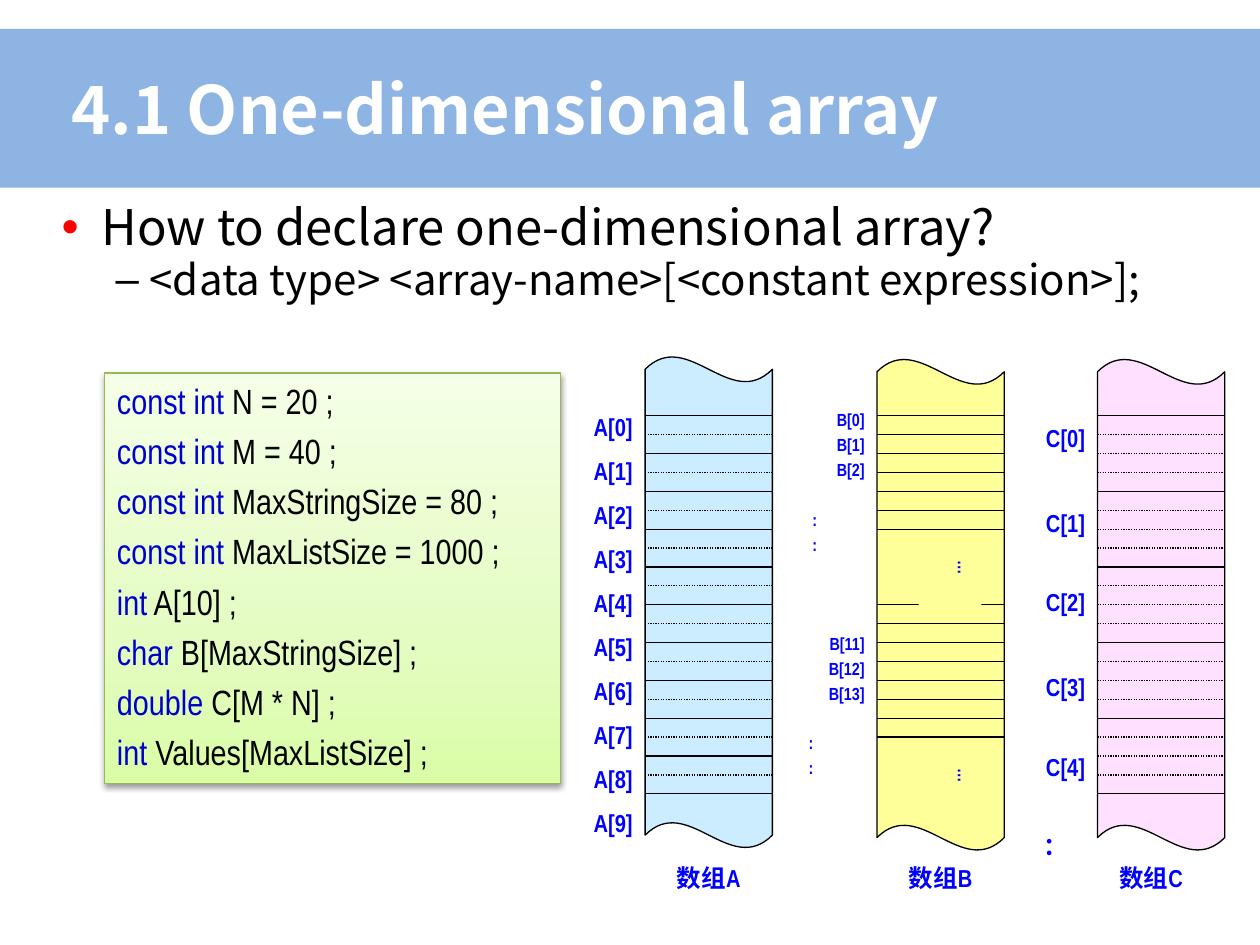
from copy import deepcopy
from pptx import Presentation
from pptx.dml.color import RGBColor as RGB
from pptx.enum.dml import MSO_LINE as Dash
from pptx.enum.shapes import MSO_CONNECTOR as Conn, MSO_SHAPE as Kind
from pptx.enum.text import MSO_ANCHOR as Anchor, PP_ALIGN as Align
from pptx.oxml import parse_xml
from pptx.oxml.ns import nsdecls, qn
from pptx.oxml.xmlchemy import OxmlElement as Node
from pptx.util import Inches, Pt

COLORS = {
    "band": "8EB4E3", "white": "FFFFFF", "black": "000000", "bullet": "FF0000",
    "key": "0000CC", "label": "0000FF", "edge": "98B955",
    "A": "CCECFF", "B": "FFFF99", "C": "FFE1FF",
}
HEX = {name: RGB.from_string(code) for name, code in COLORS.items()}
NARROW, SANS = "Arial Narrow", "Noto Sans CJK SC"

prs = Presentation()
prs.slide_width, prs.slide_height = Inches(10), Inches(7.5)
slide = prs.slides.add_slide(prs.slide_layouts[6])
shapes = slide.shapes


def add_box(left, top, width, height):
    frame = shapes.add_textbox(*map(Inches, (left, top, width, height))).text_frame
    frame.word_wrap = True
    return frame


def add_line(frame, runs, size, font=NARROW, bold=True, align=Align.LEFT,
             space=1.0, before=None, indent=0.0, hang=0.0):
    """Add a paragraph of (text, colour) runs, reusing the first empty one."""
    par = frame.paragraphs[0]
    if par.runs:
        par = frame.add_paragraph()
    par.alignment, par.line_spacing = align, space
    par.space_before = Pt(round(size * 0.235, 1) if before is None else before)
    props = par._p.get_or_add_pPr()
    props.set("marL", str(Inches(indent)))
    props.set("indent", str(-Inches(hang)))
    for text, color in runs:
        run = par.add_run()
        run.text = text
        run.font.size, run.font.name, run.font.bold = Pt(size), font, bold
        run.font.color.rgb = HEX[color]
    return props


# Title band
band = shapes.add_shape(Kind.RECTANGLE, 0, Inches(0.23), Inches(10), Inches(1.26))
band.shadow.inherit = False
band.fill.solid()
band.fill.fore_color.rgb = HEX["band"]
band.line.fill.background()
title = add_box(0.47, 0.23, 8.5, 1.25)
title.vertical_anchor = Anchor.MIDDLE
add_line(title, [("4.1 One-dimensional array", "white")], 38, SANS)

# Bulleted text
body = add_box(0.39, 1.56, 9.06, 1.2)
for text, size, indent, hang, mark, color in [
    ("How to declare one-dimensional array?", 28, 0.32, 0.32, "•", "bullet"),
    ("<data type> <array-name>[<constant expression>];", 24, 0.7, 0.27, "–", "black"),
]:
    props = add_line(body, [(text, "black")], size, SANS, False, space=0.9,
                     before=2, indent=indent, hang=hang)
    tint = Node("a:buClr")
    shade = Node("a:srgbClr")
    shade.set("val", COLORS[color])
    tint.append(shade)
    face = Node("a:buFont")
    face.set("typeface", "Arial")
    char = Node("a:buChar")
    char.set("char", mark)
    props.extend([tint, face, char])

# Code box
code = shapes.add_shape(Kind.RECTANGLE, Inches(0.83), Inches(2.96), Inches(3.62), Inches(3.26))
code.fill.gradient()
code.fill.gradient_angle = 90
stops = code._element.spPr.find(".//" + qn("a:gsLst"))
stops.insert(1, deepcopy(stops[0]))
for stop, (pos, tone) in zip(code.fill.gradient_stops,
                             [(0, "DAFDA7"), (0.35, "E4FCC2"), (1, "F5FFE7")]):
    stop.position, stop.color.rgb = pos, RGB.from_string(tone)
code.line.color.rgb, code.line.width = HEX["edge"], Pt(0.75)
code._element.spPr.append(parse_xml(
    f'<a:effectLst {nsdecls("a")}><a:outerShdw blurRad="{Pt(3.1)}" dist="{Pt(1.6)}" '
    'dir="5400000" rotWithShape="0"><a:srgbClr val="000000"><a:alpha val="38000"/>'
    '</a:srgbClr></a:outerShdw></a:effectLst>'))
code.text_frame.word_wrap = True
code.text_frame.vertical_anchor = Anchor.TOP
for key, rest in [
    ("const int", " N = 20 ;"), ("const int", " M = 40 ;"),
    ("const int", " MaxStringSize = 80 ;"), ("const int", " MaxListSize = 1000 ;"),
    ("int", " A[10] ;"), ("char", " B[MaxStringSize] ;"),
    ("double", " C[M * N] ;"), ("int", " Values[MaxListSize] ;"),
]:
    add_line(code.text_frame, [(key, "key"), (rest, "black")], 20, bold=False)

# Memory strips: name, left, top, caption left, rows drawn, rows per element
WIDE = 1.01
for name, left, top, cap, rows, step in [
    ("A", 5.12, 2.83, 5.12, range(21), 2),
    ("C", 8.71, 2.85, 8.63, range(21), 4),
    ("B", 6.96, 2.85, 6.96, [*range(7), *range(10, 18)], 1),
]:
    strip = shapes.add_shape(Kind.WAVE, Inches(left), Inches(top), Inches(WIDE), Inches(3.9))
    strip.adjustments[0], strip.adjustments[1] = 0.026, 0
    strip.shadow.inherit = False
    strip.fill.solid()
    strip.fill.fore_color.rgb = HEX[name]
    strip.line.color.rgb, strip.line.width = HEX["black"], Pt(0.75)
    for row in rows:
        y = Inches(3.3 + 0.15 * row)
        rule = shapes.add_connector(Conn.STRAIGHT, Inches(left), y, Inches(left + WIDE), y)
        rule.line.color.rgb, rule.line.width = HEX["black"], Pt(0.75)
        if row % step:
            rule.line.dash_style = Dash.ROUND_DOT
        rule._element.spPr.append(Node("a:effectLst"))
    add_line(add_box(cap, 6.8, WIDE, 0.45), [("数组" + name, "label")], 14,
             align=Align.CENTER)

# Gaps in strip B
for left, top, width in [(7.29, 4.35, 0.5), (7.12, 6, 0.67)]:
    gap = shapes.add_shape(Kind.RECTANGLE, Inches(left), Inches(top), Inches(width), Inches(0.45))
    gap.shadow.inherit = False
    gap.fill.solid()
    gap.fill.fore_color.rgb = HEX["B"]
    gap.line.fill.background()
    gap.text_frame.vertical_anchor = Anchor.TOP
    gap.text_frame._txBody.bodyPr.set("vert", "eaVert")
    add_line(gap.text_frame, [("…", "label")], 10, align=Align.JUSTIFY)

# Element labels
side = add_box(4.45, 3.2, 0.67, 3.3)
for i in range(10):
    add_line(side, [(f"A[{i}]", "label")], 14, align=Align.RIGHT, space=1.3 if i else 1.1)

side = add_box(8.12, 3.05, 0.59, 3.47)
for i, space in enumerate([2.1, 2.7, 2.5, 2.7, 2.5]):
    add_line(side, [(f"C[{i}]", "label")], 14, align=Align.RIGHT, space=space)
add_line(side, [("：", "label")], 14, space=2.5, indent=0.06)

side = add_box(6.29, 3.2, 0.67, 3)
PITCH = 14
for first, skip, indent in [(0, 0, 0.06), (11, 3, 0.03)]:
    for i in range(3):
        add_line(side, [(f"B[{first + i}]", "label")], 10, align=Align.RIGHT,
                 before=2.3 + (0 if i else skip * PITCH))
    for lead in (PITCH, 0):
        add_line(side, [(":", "label")], 10, before=2.3 + lead, indent=indent)

prs.save("out.pptx")
